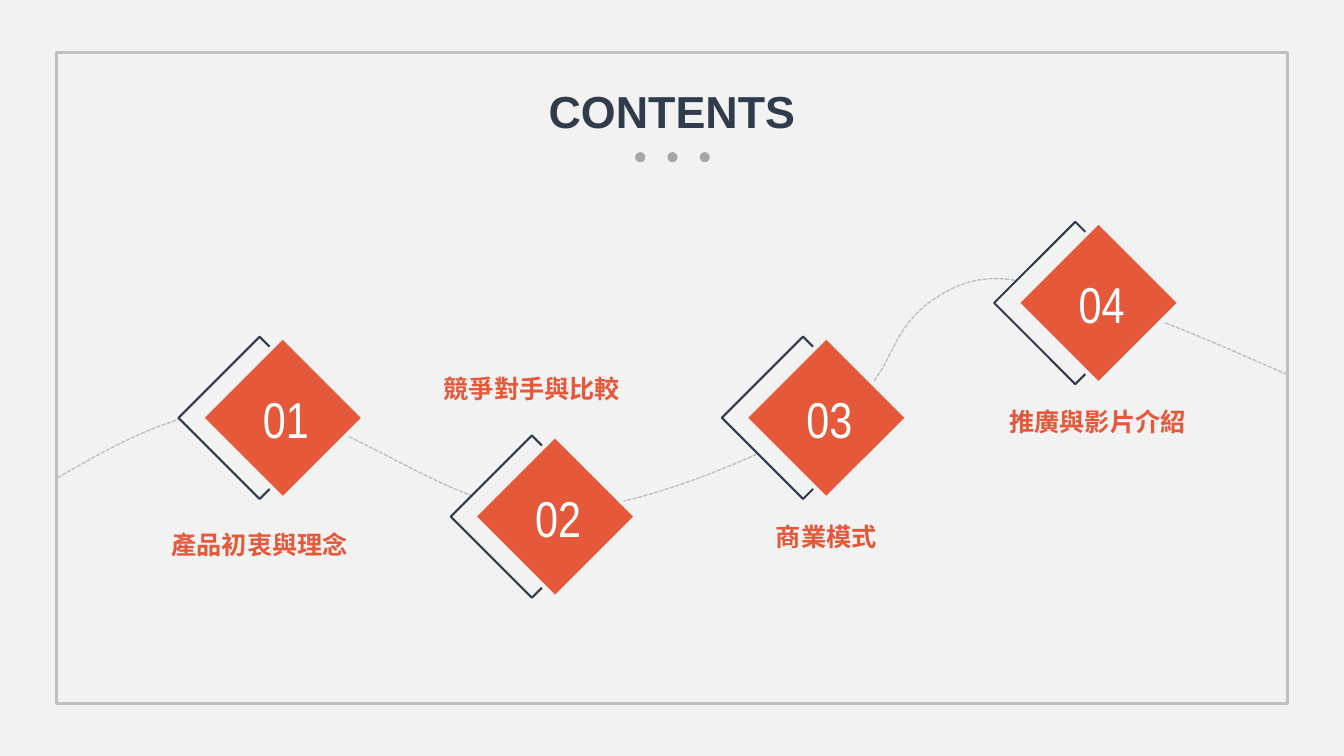
from lxml.etree import SubElement
from pptx import Presentation
from pptx.dml.color import RGBColor
from pptx.enum.dml import MSO_LINE
from pptx.enum.shapes import MSO_SHAPE
from pptx.enum.text import MSO_ANCHOR, PP_ALIGN
from pptx.oxml.ns import qn
from pptx.util import Inches, Pt

PAPER, NAVY, ORANGE = "F2F2F2", "303B4B", "E5583A"
SILVER, GRAY, WHITE = "BFBFBF", "A6A6A6", "FFFFFF"
DIAMOND = 1.61

STEPS = [
    ("01", 1.77, 3.34, "產品初衷與理念", 1.59, 5.2, 1.97),
    ("02", 4.47, 4.32, "競爭對手與比較", 4.29, 3.65, 1.97),
    ("03", 7.16, 3.34, "商業模式", 7.59, 5.12, 1.21),
    ("04", 9.86, 2.2, "推廣與影片介紹", 9.9, 3.98, 1.97),
]
PATH_START = (0.57, 4.74)
PATH_CURVES = [
    ((1.2, 4.38), (1.82, 4.01), (2.63, 4.06)),
    ((3.43, 4.12), (4.45, 5.06), (5.39, 5.07)),
    ((6.33, 5.09), (7.62, 4.48), (8.27, 4.13)),
    ((8.91, 3.77), (8.74, 3.3), (9.29, 2.95)),
    ((9.83, 2.59), (10.24, 2.84), (10.82, 2.97)),
    ((11.4, 3.1), (12.08, 3.42), (12.78, 3.72)),
]


def color(value):
    return RGBColor.from_string(value)


def paint(sp, fill=None, line=None, width=1):
    sp.shadow.inherit = False
    if fill:
        sp.fill.solid()
        sp.fill.fore_color.rgb = color(fill)
    else:
        sp.fill.background()
    if line:
        sp.line.color.rgb = color(line)
        sp.line.width = Pt(width)
    else:
        sp.line.fill.background()


def add_preset(shapes, kind, x, y, w, h, **style):
    sp = shapes.add_shape(kind, Inches(x), Inches(y), Inches(w), Inches(h))
    paint(sp, **style)
    return sp


def write(sp, text, size, fill, font="Arial", bold=False, wrap=False, anchor=MSO_ANCHOR.TOP):
    tf = sp.text_frame
    tf.word_wrap = wrap
    tf.vertical_anchor = anchor
    p = tf.paragraphs[0]
    p.alignment = PP_ALIGN.CENTER
    r = p.add_run()
    r.text = text
    r.font.name = font
    r.font.size = Pt(size)
    r.font.bold = bold
    r.font.color.rgb = color(fill)


def add_text(shapes, text, x, y, w, h, **style):
    sp = shapes.add_textbox(Inches(x), Inches(y), Inches(w), Inches(h))
    write(sp, text, **style)


def add_title(s, text, x, y, w, h, **style):
    sp = s.shapes.title
    sp.left, sp.top, sp.width, sp.height = Inches(x), Inches(y), Inches(w), Inches(h)
    write(sp, text, anchor=MSO_ANCHOR.MIDDLE, **style)


def add_curve(shapes, start, curves):
    builder = shapes.build_freeform(Inches(start[0]), Inches(start[1]))
    builder.add_line_segments(
        [(Inches(x), Inches(y)) for *_, (x, y) in curves], close=False
    )
    sp = builder.convert_to_shape()
    paint(sp, line=SILVER)
    sp.line.dash_style = MSO_LINE.SQUARE_DOT
    for segment, points in zip(list(sp._element.iter(qn("a:lnTo"))), curves):
        parent = segment.getparent()
        bezier = SubElement(parent, qn("a:cubicBezTo"))
        for x, y in points:
            SubElement(bezier, qn("a:pt"), x=str(Inches(x) - sp.left), y=str(Inches(y) - sp.top))
        parent.replace(segment, bezier)


def add_step(shapes, number, x, y):
    group = shapes.add_group_shape().shapes
    add_preset(group, MSO_SHAPE.DIAMOND, x, y, DIAMOND, DIAMOND,
               fill=PAPER, line=NAVY, width=1.5)
    add_preset(group, MSO_SHAPE.DIAMOND, x + 0.23, y, DIAMOND, DIAMOND,
               fill=ORANGE, line=PAPER, width=3)
    add_text(group, number, x + 0.62, y + 0.46, 0.89, 0.71,
             size=36, fill=WHITE, font="Arial Narrow", wrap=True)


def main():
    prs = Presentation()
    prs.slide_width, prs.slide_height = Inches(13.33), Inches(7.5)
    s = prs.slides.add_slide(prs.slide_layouts[5])
    s.background.fill.solid()
    s.background.fill.fore_color.rgb = color(PAPER)

    add_preset(s.shapes, MSO_SHAPE.RECTANGLE, 0.56, 0.52, 12.21, 6.46, line=SILVER, width=2.25)
    add_curve(s.shapes, PATH_START, PATH_CURVES)
    add_title(s, "CONTENTS", 5.33, 0.78, 2.67, 0.64, size=32, fill=NAVY, bold=True)
    for number, x, y, label, label_x, label_y, label_w in STEPS:
        add_step(s.shapes, number, x, y)
        add_text(s.shapes, label, label_x, label_y, label_w, 0.4,
                 size=18, fill=ORANGE, bold=True)
    for i in range(3):
        add_preset(s.shapes, MSO_SHAPE.OVAL, 6.3 + 0.32 * i, 1.51, 0.1, 0.1, fill=GRAY)

    prs.save("out.pptx")


if __name__ == "__main__":
    main()
